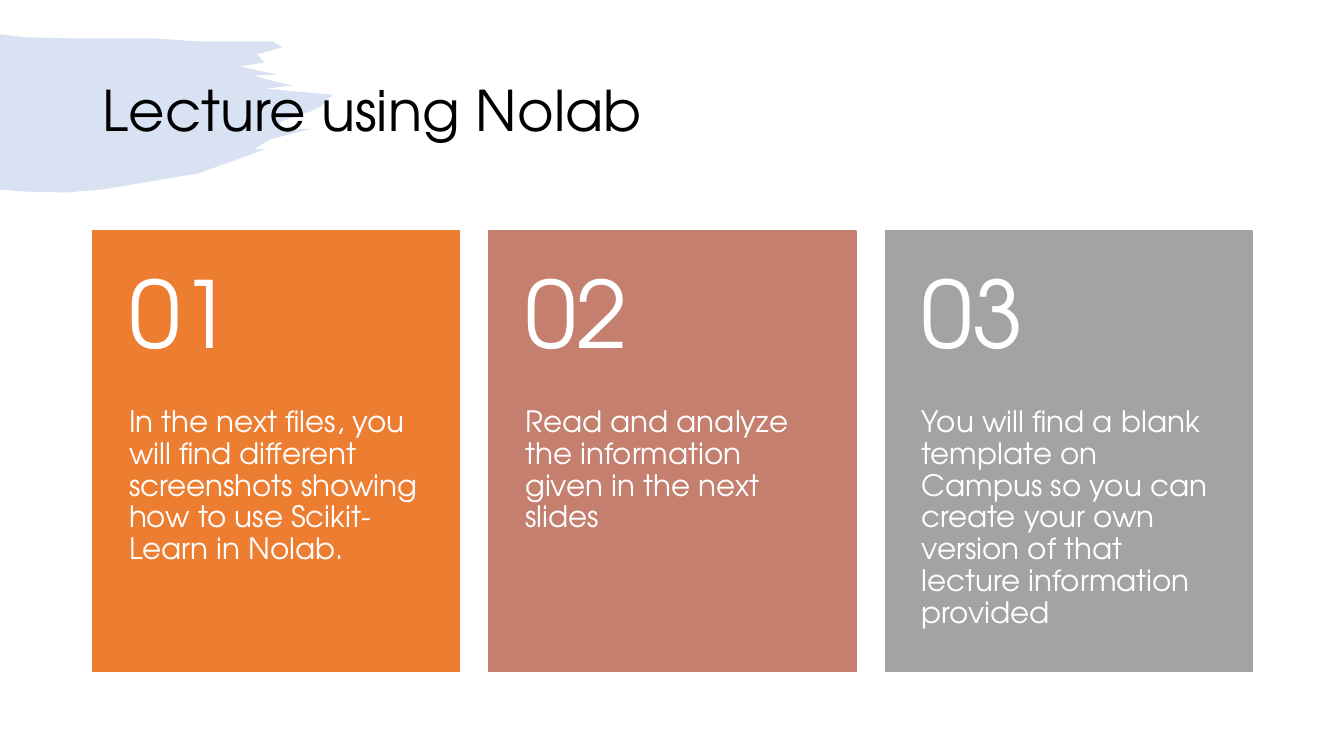
from lxml.etree import SubElement
from pptx import Presentation
from pptx.dml.color import RGBColor
from pptx.enum.shapes import MSO_SHAPE
from pptx.enum.text import MSO_ANCHOR, MSO_AUTO_SIZE, PP_ALIGN
from pptx.oxml.ns import qn
from pptx.util import Inches, Pt

FONT = "TeX Gyre Adventor"
CARD_LEFT, CARD_TOP, CARD_WIDTH, CARD_PITCH = 0.92, 2.29, 3.64, 3.93
NUMBER_HEIGHT, STEP_HEIGHT = 1.75, 2.62

STEPS = [
    ("ED7D31", "In the next files, you will find different screenshots "
               "showing how to use Scikit-Learn in Nolab."),
    ("C47F6E", "Read and analyze the information given in the next slides"),
    ("A3A3A3", "You will find a blank template on Campus so you can create "
               "your own version of that lecture information provided"),
]

BRUSH_OUTLINE = [
    (0.25, 0.37), (0.66, 0.38), (1.51, 0.38), (1.94, 0.41), (2.48, 0.41),
    (2.7, 0.41), (2.8, 0.47), (2.55, 0.54), (2.62, 0.62), (2.38, 0.66),
    (2.75, 0.74), (2.51, 0.75), (2.73, 0.81), (2.9, 0.85), (2.63, 0.88),
    (3.3, 0.94), (3.18, 1.06), (3.07, 1.11), (2.8, 1.2), (2.74, 1.28),
    (3.08, 1.28), (2.69, 1.38), (2.52, 1.48), (2.63, 1.48), (1.97, 1.72),
    (1.02, 1.88), (0.65, 1.91), (0.23, 1.9), (0, 1.88),
]


def color(hex_code):
    return RGBColor.from_string(hex_code)


def paint(shape, fill):
    shape.shadow.inherit = False
    shape.fill.solid()
    shape.fill.fore_color.rgb = color(fill)


def write(frame, text, size, ink, anchor):
    frame.word_wrap = True
    frame.auto_size = MSO_AUTO_SIZE.NONE
    frame.vertical_anchor = anchor
    paragraph = frame.paragraphs[0]
    paragraph.alignment = PP_ALIGN.LEFT
    paragraph.line_spacing = 0.9
    run = paragraph.add_run()
    run.text = text
    run.font.name = FONT
    run.font.size = Pt(size)
    run.font.color.rgb = color(ink)


def add_brush(slide):
    builder = slide.shapes.build_freeform(Inches(0), Inches(0.34))
    builder.add_line_segments([(Inches(x), Inches(y)) for x, y in BRUSH_OUTLINE], close=True)
    brush = builder.convert_to_shape()
    paint(brush, "4472C4")
    brush.line.fill.background()
    tint = next(brush._element.spPr.iter(qn("a:srgbClr")))
    SubElement(tint, qn("a:alpha")).set("val", "20000")


def place_title(slide, text):
    title = slide.shapes.title
    title.left, title.top = Inches(0.92), Inches(0.4)
    title.width, title.height = Inches(11.5), Inches(1.45)
    write(title.text_frame, text, 40, "000000", MSO_ANCHOR.MIDDLE)
    slide.shapes._spTree.append(title._element)


def add_card_text(cards, left, top, height, text, size, anchor, inset_top, inset_bottom):
    box = cards.add_textbox(Inches(left), Inches(top), Inches(CARD_WIDTH), Inches(height))
    frame = box.text_frame
    frame.margin_left = frame.margin_right = Inches(0.36)
    frame.margin_top, frame.margin_bottom = Inches(inset_top), Inches(inset_bottom)
    write(frame, text, size, "FFFFFF", anchor)
    frame.paragraphs[0].space_after = Pt(round(0.35 * size))


def add_card(cards, index, fill, text):
    left = CARD_LEFT + index * CARD_PITCH
    card = cards.add_shape(MSO_SHAPE.RECTANGLE, Inches(left), Inches(CARD_TOP),
                           Inches(CARD_WIDTH), Inches(NUMBER_HEIGHT + STEP_HEIGHT))
    paint(card, fill)
    card.line.color.rgb = color(fill)
    card.line.width = Pt(1)
    add_card_text(cards, left, CARD_TOP + NUMBER_HEIGHT, STEP_HEIGHT, text, 21,
                  MSO_ANCHOR.TOP, 0, 0.36)
    add_card_text(cards, left, CARD_TOP, NUMBER_HEIGHT, f"{index + 1:02}", 66,
                  MSO_ANCHOR.MIDDLE, 0.18, 0.18)


def main():
    deck = Presentation()
    deck.slide_width, deck.slide_height = Inches(13.33), Inches(7.5)
    slide = deck.slides.add_slide(deck.slide_layouts[5])
    add_brush(slide)
    place_title(slide, "Lecture using Nolab")
    cards = slide.shapes.add_group_shape().shapes
    for index, (fill, text) in enumerate(STEPS):
        add_card(cards, index, fill, text)
    deck.save("out.pptx")


if __name__ == "__main__":
    main()
